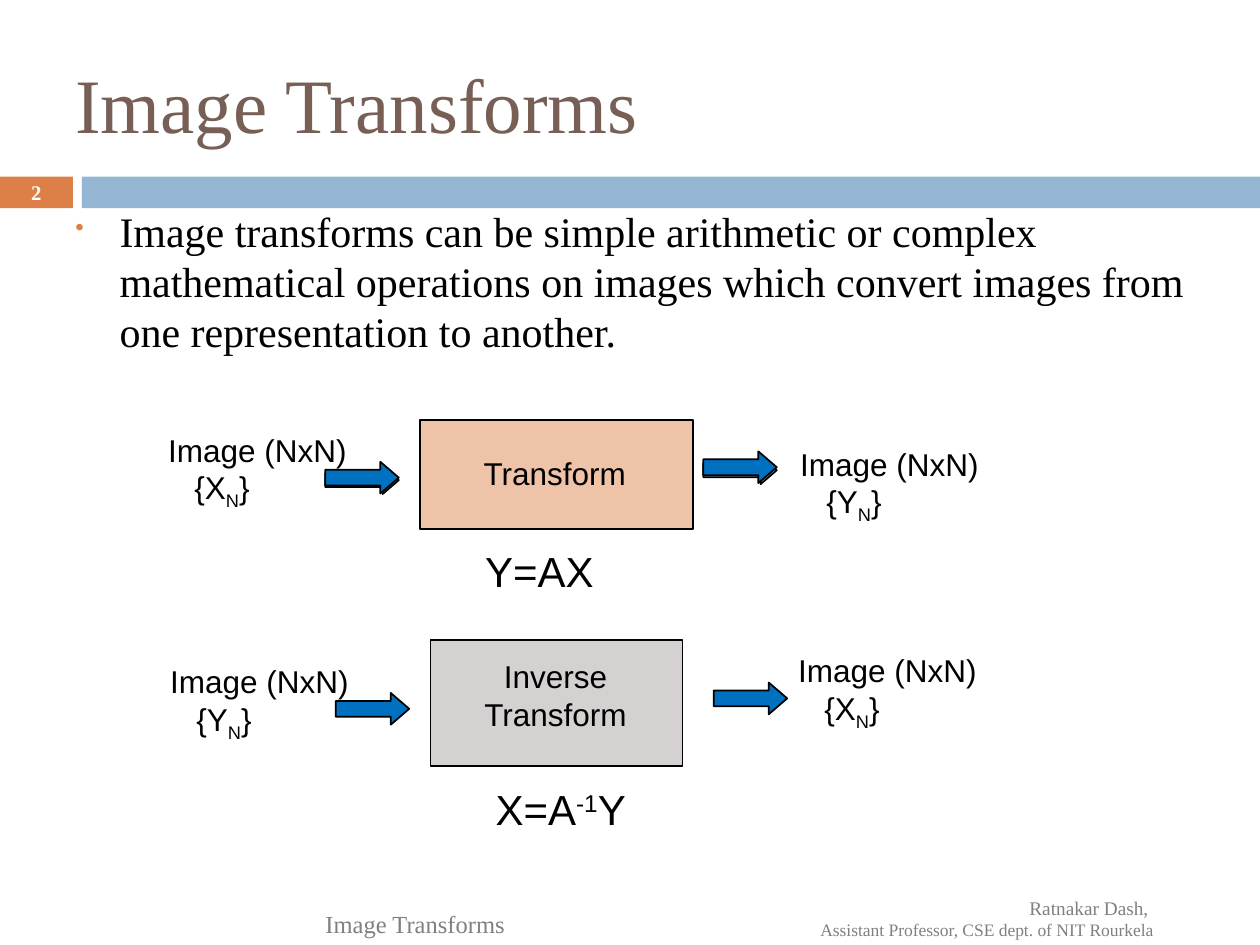
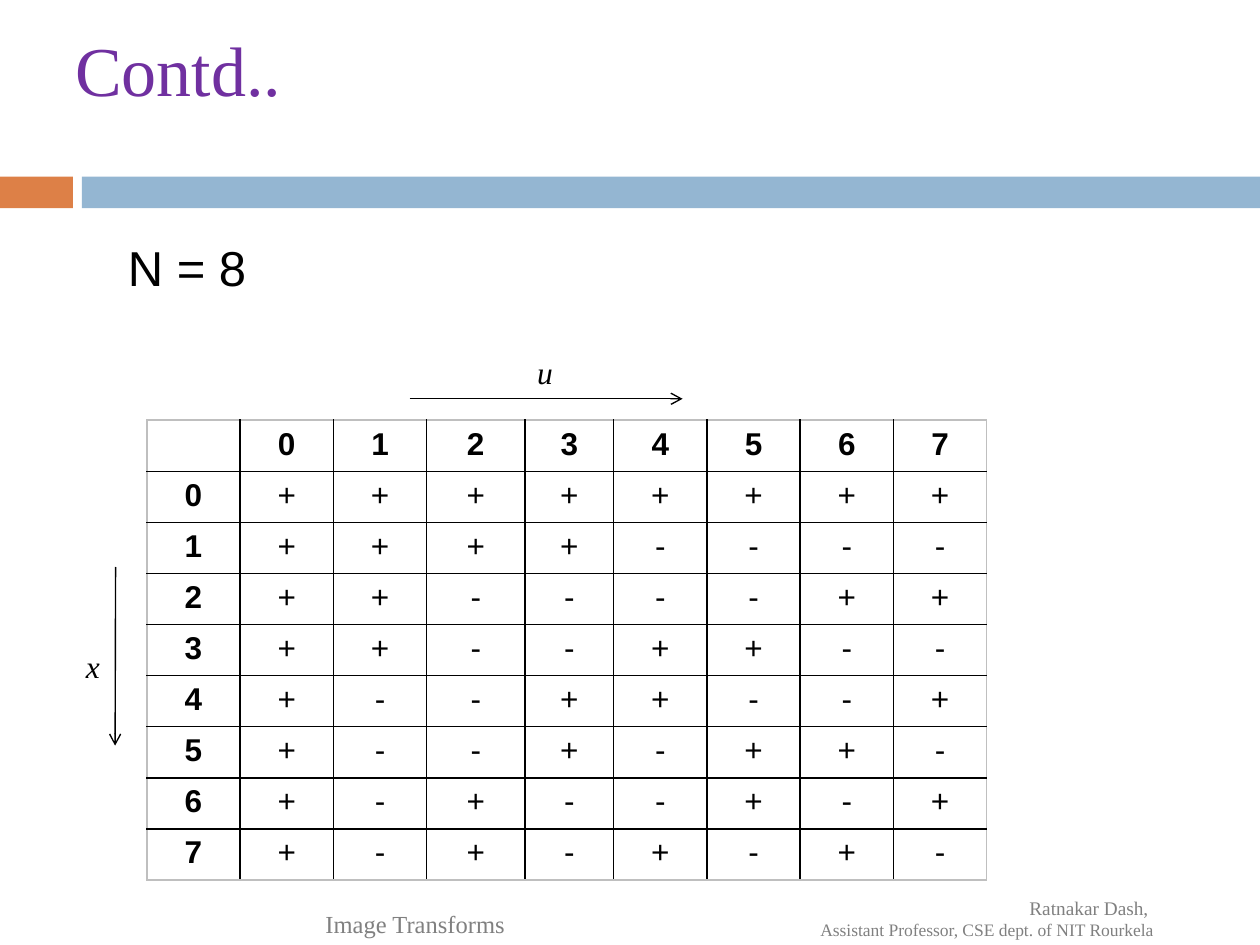
"""Builds two slides on image transforms: a block diagram and a sign table."""
from lxml.etree import SubElement
from pptx import Presentation
from pptx.dml.color import RGBColor
from pptx.enum.shapes import MSO_CONNECTOR as Connector, MSO_SHAPE as Shape
from pptx.enum.text import MSO_ANCHOR as Anchor, PP_ALIGN as Align
from pptx.oxml import parse_xml
from pptx.oxml.ns import nsdecls, qn
from pptx.util import Cm, Pt

BLACK = RGBColor(0, 0, 0)
WHITE = RGBColor(255, 255, 255)
GRAY = RGBColor(0x80, 0x80, 0x80)
EDGE = RGBColor(0xBF, 0xBF, 0xBF)
ORANGE = RGBColor(0xDD, 0x80, 0x47)
PEACH = RGBColor(0xEB, 0xB3, 0x91)
STONE = RGBColor(0xD5, 0xD1, 0xD1)
PALE_BLUE = RGBColor(0x94, 0xB6, 0xD2)
BLUE = RGBColor(0, 0x70, 0xC0)
BROWN = RGBColor(0x77, 0x5F, 0x55)
PURPLE = RGBColor(0x70, 0x30, 0xA0)
SERIF, SANS = "Times New Roman", "Arial"


class Slides:
    def __init__(self):
        self.deck = Presentation()
        self.deck.slide_width, self.deck.slide_height = Cm(25.4), Cm(19.05)
        self.page = None

    def start(self, title, top, height, size, color):
        self.page = self.deck.slides.add_slide(self.deck.slide_layouts[6])
        self.shape((0, 3.56, 1.47, 0.64), ORANGE)
        self.shape((1.65, 3.56, 23.75, 0.64), PALE_BLUE)
        self.text((5.51, 18.21, 5.72, 0.84), ["Image Transforms"], 14, SERIF, GRAY,
                  Align.CENTER, Anchor.MIDDLE)
        author = self.text((15.24, 17.98, 8.26, 1.07),
                           ["Ratnakar Dash, ", "Assistant Professor, CSE dept. of NIT Rourkela"],
                           11, SERIF, GRAY, Align.RIGHT, Anchor.MIDDLE)
        author.paragraphs[1].font.size = Pt(10)
        self.text((1.27, top, 22.86, height), [title], size, SERIF, color, anchor=Anchor.MIDDLE)

    def style(self, para, size, font, color, align=Align.LEFT, bold=False):
        para.alignment = align
        para.font.size, para.font.name, para.font.bold = Pt(size), font, bold
        para.font.color.rgb = color

    def text(self, at, lines, size, font=SANS, color=BLACK, align=Align.LEFT,
             anchor=Anchor.TOP, bold=False, wrap=True):
        box = self.page.shapes.add_textbox(*map(Cm, at)).text_frame
        box.word_wrap, box.vertical_anchor = wrap, anchor
        for index, line in enumerate(lines):
            para = box.add_paragraph() if index else box.paragraphs[0]
            for part in [line] if isinstance(line, str) else line:
                words, baseline = (part, 0) if isinstance(part, str) else part
                span = para.add_run()
                span.text = words
                if baseline:
                    span._r.get_or_add_rPr().set("baseline", str(baseline * 1000))
            self.style(para, size, font, color, align, bold)
        return box

    def bullet(self, at, words):
        para = self.text(at, [words], 24, SERIF).paragraphs[0]
        para.space_before = Pt(7)
        props = para._p.get_or_add_pPr()
        props.set("marL", str(Cm(0.89)))
        props.set("indent", str(-Cm(0.89)))
        for item in (f'<a:buClr {nsdecls("a")}><a:srgbClr val="{ORANGE}"/></a:buClr>',
                     f'<a:buSzPct {nsdecls("a")} val="60000"/>',
                     f'<a:buChar {nsdecls("a")} char="•"/>'):
            props.insert_element_before(parse_xml(item), "a:defRPr")

    def image_label(self, left, top, letter, inset=True):
        box = self.text((left, top, 4.14, 1.8),
                        ["Image (NxN)", ["{" + letter, ("N", -25), "}"]], 18, wrap=False)
        if not inset:
            box.margin_left = box.margin_right = box.margin_top = box.margin_bottom = 0
        box.paragraphs[1]._p.get_or_add_pPr().set("marL", str(Cm(0.53)))

    def shape(self, at, fill, kind=Shape.RECTANGLE, line=None, opacity=None):
        shape = self.page.shapes.add_shape(kind, *map(Cm, at))
        shape.shadow.inherit = False
        shape.fill.solid()
        shape.fill.fore_color.rgb = fill
        if opacity:
            color = shape.fill._xPr.find(".//" + qn("a:srgbClr"))
            SubElement(color, qn("a:alpha")).set("val", str(opacity * 1000))
        if line is None:
            shape.line.fill.background()
        else:
            shape.line.color.rgb, shape.line.width = line, Pt(1)
        return shape

    def block_arrow(self, left, top, fill=BLUE, height=0.64):
        arrow = self.shape((left, top, 1.48, height), fill, Shape.RIGHT_ARROW, BLACK)
        arrow.adjustments[0], arrow.adjustments[1] = 0.5, 0.58

    def axis(self, name, label_left, label_top, *ends):
        line = self.page.shapes.add_connector(Connector.STRAIGHT, *map(Cm, ends))
        line.line.color.rgb, line.line.width = BLACK, Pt(0.79)
        SubElement(line.line._get_or_add_ln(), qn("a:tailEnd")).set("type", "arrow")
        SubElement(line._element.spPr, qn("a:effectLst"))
        box = self.text((label_left, label_top, 1.27, 1.02), [name], 18, SERIF)
        box.paragraphs[0].font.italic = True

    def border(self, cell, side, color):
        cell._tc.get_or_add_tcPr().append(parse_xml(
            f'<a:{side} {nsdecls("a")} w="12700"><a:solidFill>'
            f'<a:srgbClr val="{color}"/></a:solidFill></a:{side}>'))

    def sign_table(self, left, top, widths, row_height, rows):
        last_row, last_column = len(rows) - 1, len(widths) - 1
        table = self.page.shapes.add_table(len(rows), len(widths), Cm(left), Cm(top),
                                           Cm(sum(widths)), Cm(row_height * len(rows))).table
        table.first_row = table.horz_banding = False
        for column, width in zip(table.columns, widths):
            column.width = Cm(width)
        for r, row in enumerate(rows):
            table.rows[r].height = Cm(row_height)
            for c, words in enumerate(row):
                cell = table.cell(r, c)
                cell.text = words.strip()
                self.style(cell.text_frame.paragraphs[0], 18, SANS, BLACK,
                           Align.CENTER, r == 0 or c == 0)
                for side, outer in (("lnL", c == 0), ("lnR", c == last_column),
                                    ("lnT", r == 0), ("lnB", r == last_row)):
                    self.border(cell, side, EDGE if outer else BLACK)
                cell.fill.background()


slides = Slides()

slides.start("Image Transforms", 0.76, 2.62, 44, BROWN)
slides.text((0, 3.53, 1.47, 0.69), ["2"], 11.9, SERIF, WHITE, Align.CENTER, Anchor.MIDDLE, True)
slides.bullet((1.27, 4.01, 22.86, 12.57),
              "Image transforms can be simple arithmetic or complex mathematical operations "
              "on images which convert images from one representation to another.")
slides.shape((8.47, 8.47, 5.5, 2.2), PEACH, line=BLACK, opacity=79)
slides.shape((8.68, 12.91, 5.08, 2.54), STONE, line=BLACK)
slides.text((9.5, 9.02, 3.4, 1.02), ["Transform"], 18, wrap=False)
slides.text((9.5, 13.13, 3.4, 1.8), ["Inverse", "Transform"], 18, align=Align.CENTER, wrap=False)
slides.text((9.53, 10.87, 2.72, 1.27), ["Y=AX"], 24, wrap=False)
slides.text((9.74, 15.66, 3.23, 1.27), [["X=A", ("-1", 30), "Y"]], 24, wrap=False)
for left, top in ((6.56, 9.4), (14.18, 9.2)):
    slides.block_arrow(left, top, PALE_BLUE, 0.56)
for left, top in ((6.56, 9.31), (14.18, 9.1), (6.77, 13.97), (14.39, 13.76)):
    slides.block_arrow(left, top)
slides.image_label(3.39, 8.68, "X", inset=False)
slides.image_label(15.88, 8.84, "Y")
slides.image_label(3.18, 13.23, "Y")
slides.image_label(16.09, 13.13, "X", inset=False)

slides.start("Contd..", 0, 2.75, 40, PURPLE)
slides.text((2.33, 4.66, 5.5, 1.45), ["N = 8"], 28)
SIGNS = ("++++++++", "++++----", "++----++", "++--++--",
         "+--++--+", "+--+-++-", "+-+--+-+", "+-+-+-+-")
slides.sign_table(2.96, 8.47, [1.88] * 3 + [1.98, 1.79] + [1.88] * 4, 1.03,
                  [" 01234567"] + [f"{x}{signs}" for x, signs in enumerate(SIGNS)])
slides.axis("u", 10.58, 6.99, 8.26, 8.04, 13.76, 8.04)
slides.axis("x", 1.48, 12.91, 2.33, 11.43, 2.32, 15.03)

slides.deck.save("out.pptx")
